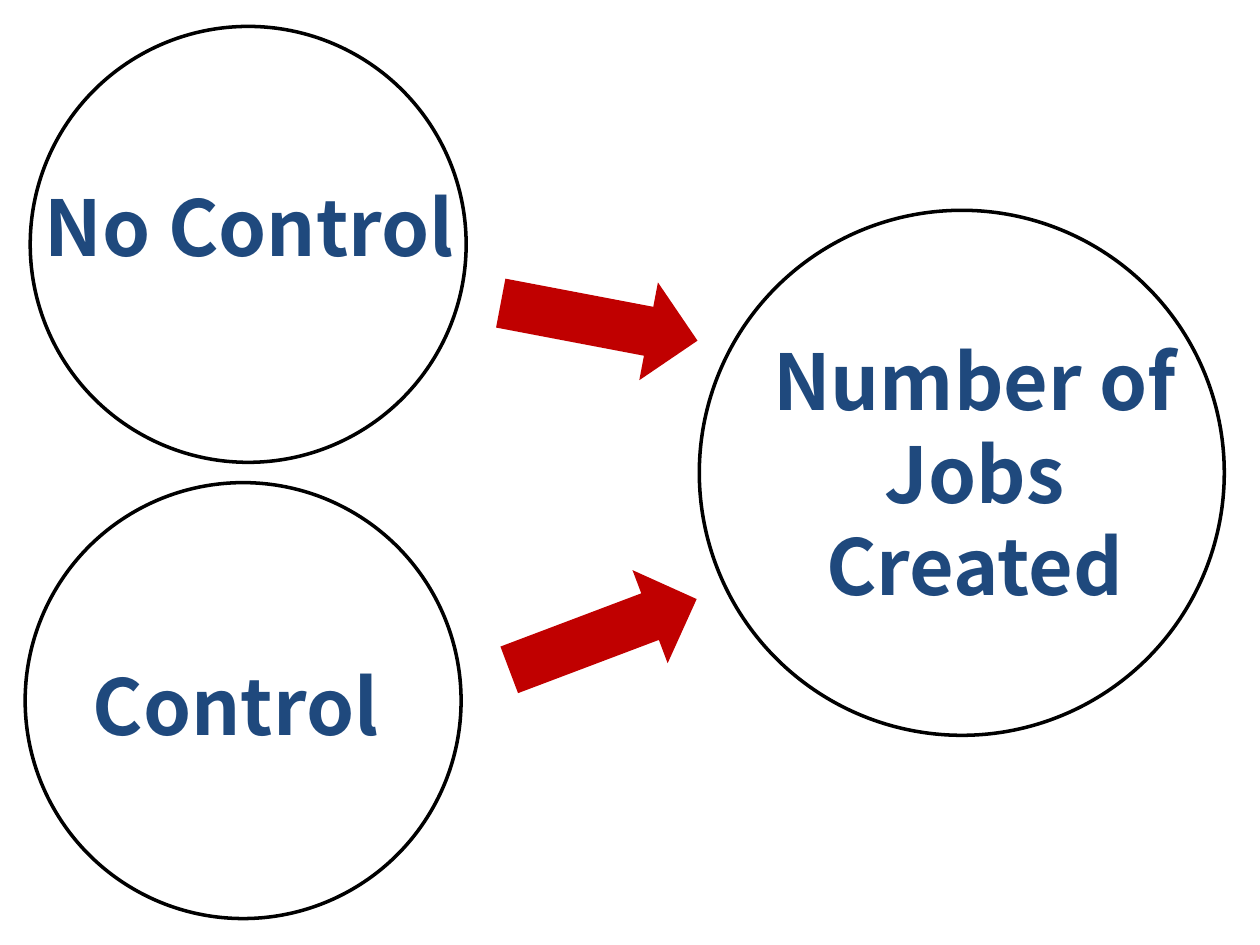
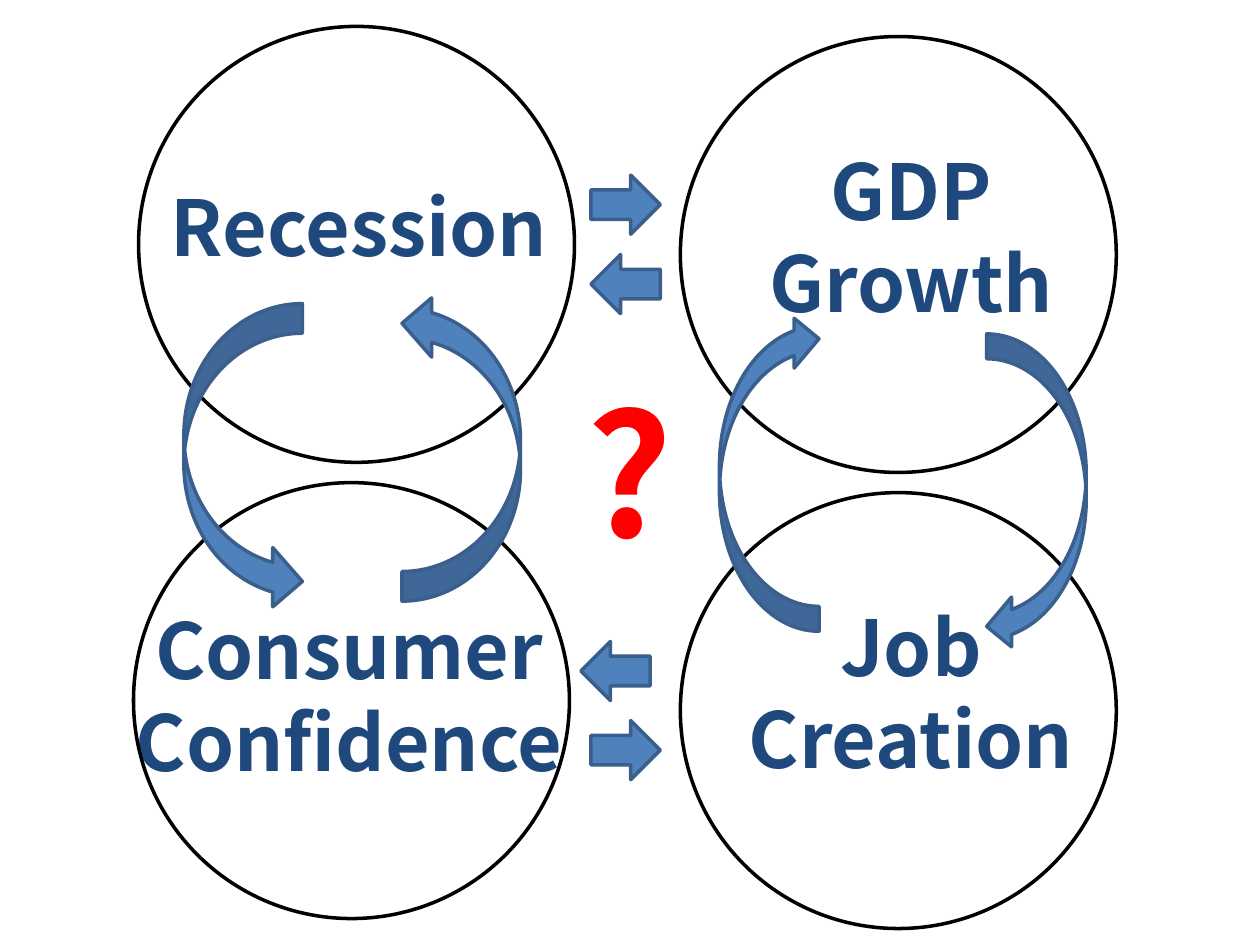
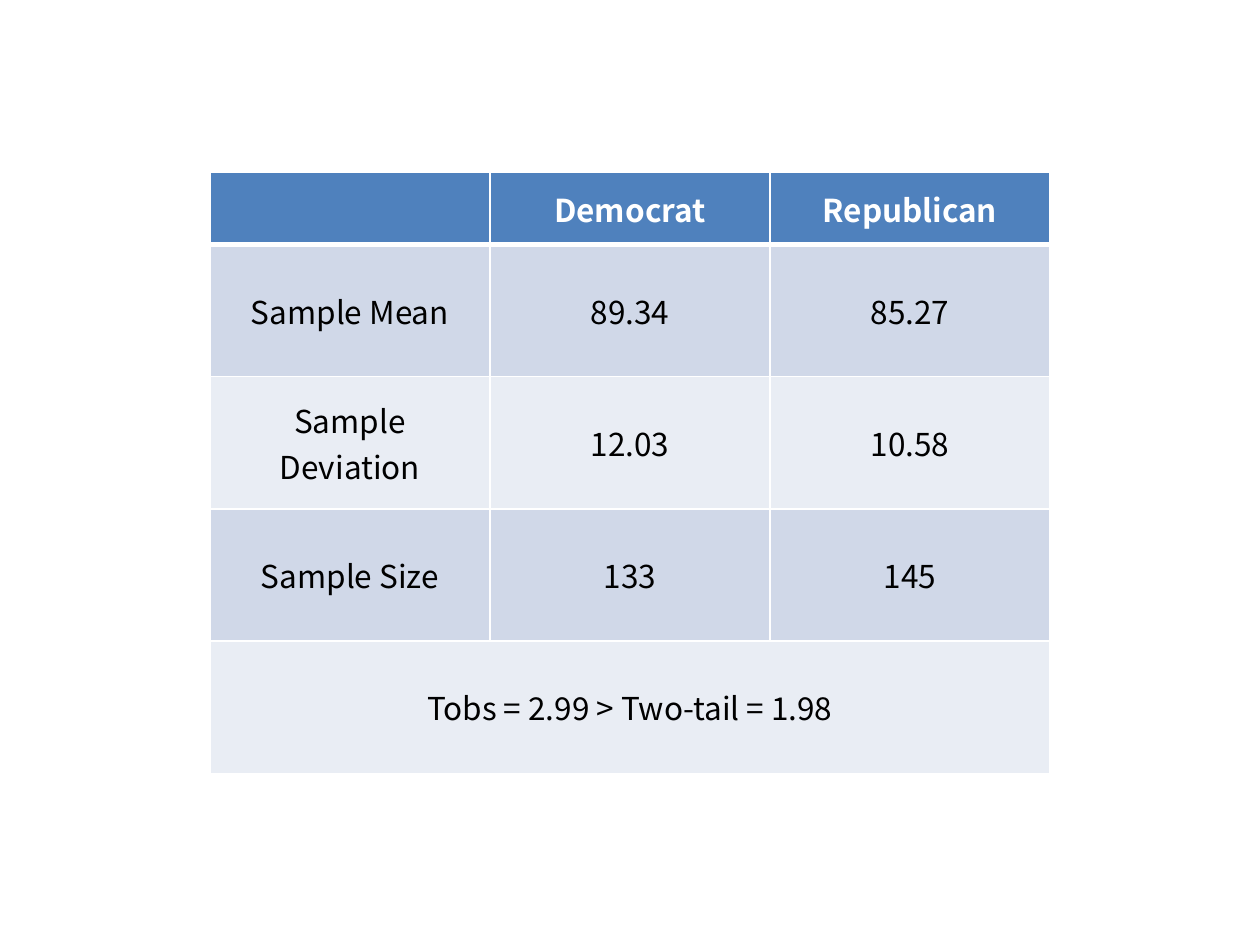
from dataclasses import dataclass

from lxml.etree import SubElement
from pptx import Presentation
from pptx.dml.color import RGBColor
from pptx.enum.shapes import MSO_SHAPE as Shape
from pptx.enum.text import MSO_ANCHOR as Anchor, MSO_AUTO_SIZE as AutoSize, PP_ALIGN as Align
from pptx.oxml.ns import qn
from pptx.util import Pt

FONT = "Noto Sans CJK KR"
COLORS = {
    "outline": "000000", "label": "1F497D", "cause": "C00000", "question": "FF0000",
    "cycle": "4F81BD", "cycle_edge": "3A5F8C", "white": "FFFFFF", "text": "000000",
    "band_dark": "D0D8E8", "band_light": "E9EDF4",
}
TITLE_ONLY, BLANK = 5, 6
CIRCLE = 249.1
LABEL_W = 286.6
TALL, SHORT = 206, 118.8


@dataclass(frozen=True)
class Box:
    x: float
    y: float
    w: float
    h: float

    def lengths(self):
        return Pt(self.x), Pt(self.y), Pt(self.w), Pt(self.h)


@dataclass(frozen=True)
class Topic:
    """A circle with its label; the label box is placed on its own."""
    lines: tuple[str, ...]
    x: float
    y: float
    label: Box
    size: float = CIRCLE
    is_title: bool = False


@dataclass(frozen=True)
class Arrow:
    kind: Shape
    box: Box
    rotation: float = 0
    fill: str = "cycle"
    edge: str | None = "cycle_edge"


def cause_arrow(x: float, y: float, rotation: float) -> Arrow:
    return Arrow(Shape.RIGHT_ARROW, Box(x, y, 114.5, 56.9), rotation, "cause", None)


def link_arrow(x: float, y: float, rotation: float = 0) -> Arrow:
    return Arrow(Shape.RIGHT_ARROW, Box(x, y, 39.6, 33.8), rotation)


def left_cycle(x: float, y: float, rotation: float = 0) -> Arrow:
    return Arrow(Shape.CURVED_RIGHT_ARROW, Box(x, y, 67.7, 175.7), rotation)


def right_cycle(x: float, y: float, rotation: float = 0) -> Arrow:
    return Arrow(Shape.CURVED_LEFT_ARROW, Box(x, y, 56.9, 181.4), rotation)


JOBS_TOPICS = [
    Topic(("Number of Jobs", "Created"), 399.6, 120.2, Box(430.6, 179.3, 252.7, 181.4), 300, True),
    Topic(("Control",), 14.4, 275.8, Box(-8.6, 343.4, LABEL_W, SHORT)),
    Topic(("No Control",), 17.3, 15.1, Box(-0.7, 25.9, LABEL_W, TALL)),
]
JOBS_ARROWS = [cause_arrow(287.3, 334.1, 339.3), cause_arrow(285.1, 155.5, 10.8)]

ECONOMY_TOPICS = [
    Topic(("Consumer", "Confidence"), 76.3, 275.8, Box(56.2, 337.7, LABEL_W, SHORT)),
    Topic(("Recession",), 79.2, 15.1, Box(61.9, 25.9, LABEL_W, TALL), is_title=True),
    Topic(("GDP", "Growth"), 388.8, 20.9, Box(377.3, 31.7, LABEL_W, TALL)),
    Topic(("Job", "Creation"), 388.8, 281.5, Box(377.3, 292.3, LABEL_W, TALL)),
]
ECONOMY_ARROWS = [
    left_cycle(105.1, 173.5), left_cycle(229.7, 167.8, 180),
    right_cycle(411.1, 179.3, 180), right_cycle(563.8, 190.8),
    link_arrow(337.7, 100.1), link_arrow(337.7, 145.4, 180),
    link_arrow(331.9, 366.5, 180), link_arrow(337.7, 411.8),
]

TABLE_ROWS = [
    ("", "Democrat", "Republican"),
    ("Sample Mean", "89.34", "85.27"),
    ("Sample Deviation", "12.03", "10.58"),
    ("Sample Size", "133", "145"),
    ("Tobs = 2.99 > Two-tail = 1.98",),
]
COLUMN_W, HEADER_H, ROW_H = 160, 41, 75.6


def rgb(name: str) -> RGBColor:
    return RGBColor.from_string(COLORS[name])


def write(tf, lines: tuple[str, ...], size: float, color: str, bold: bool = True) -> None:
    for i, line in enumerate(lines):
        p = tf.paragraphs[0] if i == 0 else tf.add_paragraph()
        p.alignment = Align.CENTER
        r = p.add_run()
        r.text = line
        r.font.name, r.font.size, r.font.bold = FONT, Pt(size), bold
        r.font.color.rgb = rgb(color)


def add_label(s, lines: tuple[str, ...], box: Box, size: float, color: str,
              anchor: Anchor, is_title: bool = False) -> None:
    if is_title:
        sp = s.shapes.title
        sp.left, sp.top, sp.width, sp.height = box.lengths()
    else:
        sp = s.shapes.add_textbox(*box.lengths())
    tf = sp.text_frame
    tf.word_wrap = True
    tf.auto_size = AutoSize.NONE
    tf.vertical_anchor = anchor
    write(tf, lines, size, color)


def add_topic(s, topic: Topic) -> None:
    add_label(s, topic.lines, topic.label, 44, "label", Anchor.MIDDLE, topic.is_title)
    sp = s.shapes.add_shape(Shape.OVAL, *Box(topic.x, topic.y, topic.size, topic.size).lengths())
    sp.shadow.inherit = False
    sp.fill.background()
    sp.line.color.rgb = rgb("outline")
    sp.line.width = Pt(2)


def add_arrow(s, arrow: Arrow) -> None:
    sp = s.shapes.add_shape(arrow.kind, *arrow.box.lengths())
    sp.rotation = arrow.rotation
    sp.shadow.inherit = False
    sp.fill.solid()
    sp.fill.fore_color.rgb = rgb(arrow.fill)
    if arrow.edge:
        sp.line.color.rgb = rgb(arrow.edge)
        sp.line.width = Pt(2)
    else:
        sp.line.fill.background()


def add_diagram(prs, topics: list[Topic], arrows: list[Arrow]):
    s = prs.slides.add_slide(prs.slide_layouts[TITLE_ONLY])
    for topic in topics:
        add_topic(s, topic)
    for arrow in arrows:
        add_arrow(s, arrow)
    return s


def style_cell(cell, fill: str, bottom: float) -> None:
    """Fill the cell and draw its white borders, the bottom one in its own width."""
    cell.vertical_anchor = Anchor.MIDDLE
    cell.margin_left = cell.margin_right = Pt(8)
    tc_pr = cell._tc.get_or_add_tcPr()
    for side, width in (("L", 1), ("R", 1), ("T", 1), ("B", bottom)):
        ln = SubElement(tc_pr, qn(f"a:ln{side}"), w=str(Pt(width)))
        SubElement(SubElement(ln, qn("a:solidFill")), qn("a:srgbClr"), val=COLORS["white"])
    cell.fill.solid()
    cell.fill.fore_color.rgb = rgb(fill)


def add_sample_table(s) -> None:
    n_rows, n_cols = len(TABLE_ROWS), len(TABLE_ROWS[0])
    box = Box(120, 98.6, n_cols * COLUMN_W, HEADER_H + (n_rows - 1) * ROW_H)
    table = s.shapes.add_table(n_rows, n_cols, *box.lengths()).table
    for column in table.columns:
        column.width = Pt(COLUMN_W)
    for i, values in enumerate(TABLE_ROWS):
        header = i == 0
        table.rows[i].height = Pt(HEADER_H if header else ROW_H)
        fill = "cycle" if header else "band_dark" if i % 2 else "band_light"
        for j in range(n_cols):
            style_cell(table.cell(i, j), fill, 3 if header else 1)
        for j, value in enumerate(values):
            if value:
                write(table.cell(i, j).text_frame, (value,), 18,
                      "white" if header else "text", header)
    table.cell(n_rows - 1, 0).merge(table.cell(n_rows - 1, n_cols - 1))


def main() -> None:
    prs = Presentation()
    prs.slide_width, prs.slide_height = Pt(720), Pt(540)
    add_diagram(prs, JOBS_TOPICS, JOBS_ARROWS)
    s = add_diagram(prs, ECONOMY_TOPICS, ECONOMY_ARROWS)
    add_label(s, ("?",), Box(320.4, 207.4, 79.2, 123.8), 96, "question", Anchor.TOP)
    add_sample_table(prs.slides.add_slide(prs.slide_layouts[BLANK]))
    prs.save("out.pptx")


if __name__ == "__main__":
    main()
